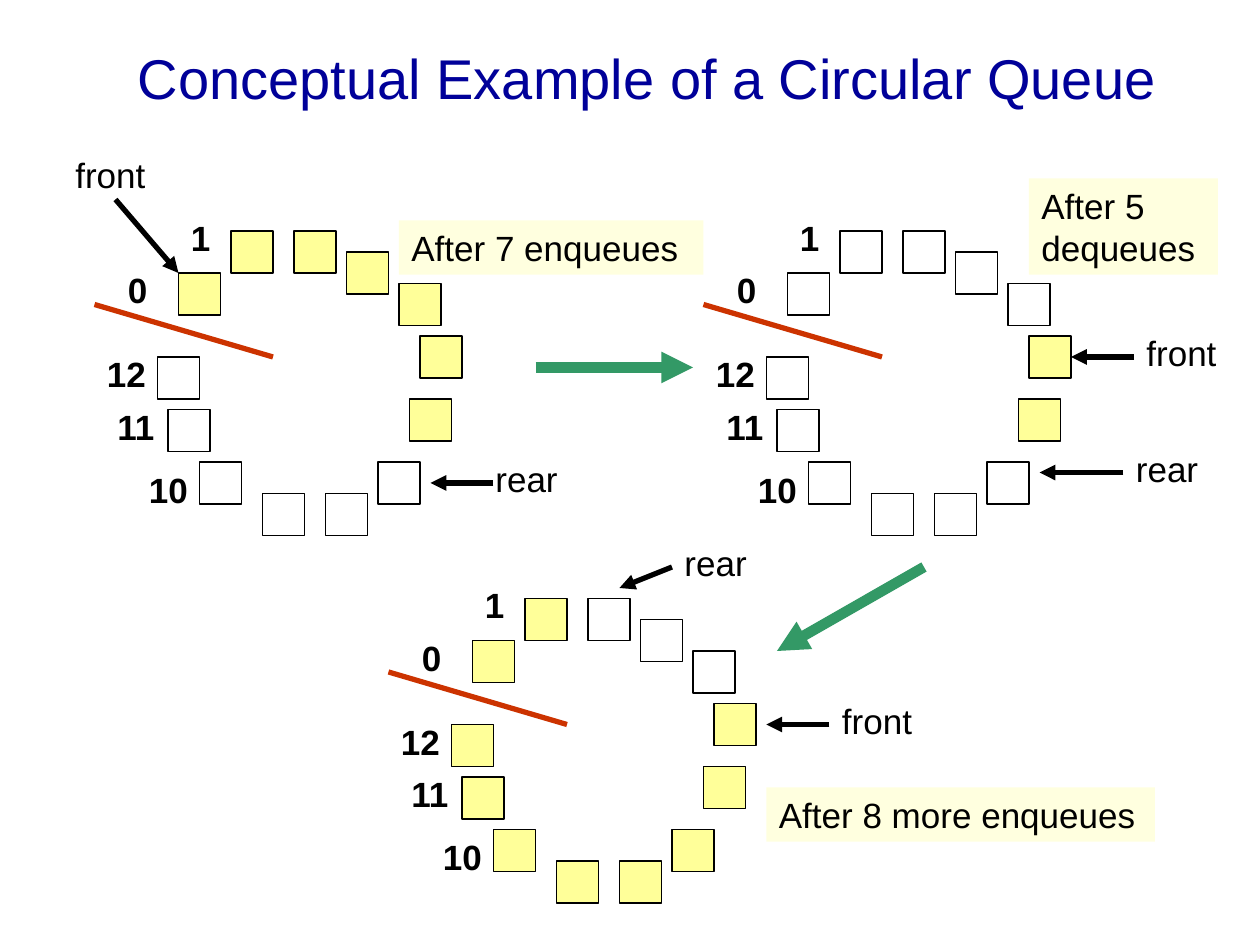
"""Build a slide showing a circular queue in three states."""
from lxml import etree
from pptx import Presentation
from pptx.dml.color import RGBColor
from pptx.enum.shapes import MSO_CONNECTOR, MSO_SHAPE
from pptx.enum.text import MSO_ANCHOR, MSO_AUTO_SIZE, PP_ALIGN
from pptx.oxml.ns import qn
from pptx.util import Pt

RECTANGLE = MSO_SHAPE.RECTANGLE
STRAIGHT = MSO_CONNECTOR.STRAIGHT
TOP, MIDDLE = MSO_ANCHOR.TOP, MSO_ANCHOR.MIDDLE
LEFT, CENTER = PP_ALIGN.LEFT, PP_ALIGN.CENTER
GROW, FIXED = MSO_AUTO_SIZE.SHAPE_TO_FIT_TEXT, MSO_AUTO_SIZE.NONE
RIGHT_SIDE = 3

BLACK = RGBColor(0x00, 0x00, 0x00)
NAVY = RGBColor(0x00, 0x00, 0x99)
YELLOW = RGBColor(0xFF, 0xFF, 0x99)
CREAM = RGBColor(0xFF, 0xFF, 0xDF)
RED = RGBColor(0xCC, 0x33, 0x00)
GREEN = RGBColor(0x33, 0x99, 0x66)

FONT = "Arial"
CELL = 24
LINE_HEIGHT = 31

TITLE = "Conceptual Example of a Circular Queue"
CELL_OFFSETS = [
    (48, 36), (78, 12), (114, 12), (144, 24), (174, 42), (186, 72), (180, 108),
    (162, 144), (132, 162), (96, 162), (60, 144), (42, 114), (36, 84),
]
INDEX_LABELS = [
    ("1", 48, 0, 30), ("0", 12, 30, 30), ("12", 0, 78, 42),
    ("11", 6, 108, 54), ("10", 24, 144, 54),
]
DIVIDER = ((0, 54), (102, 84))
QUEUES = [
    {"origin": (54, 120), "front": 0, "count": 7},
    {"origin": (402, 120), "front": 5, "count": 2},
    {"origin": (222, 330), "front": 5, "count": 10},
]
CAPTIONS = [
    ("After 7 enqueues", 228, 126, 174, LINE_HEIGHT),
    ("After 5 dequeues", 588, 102, 108, 55),
    ("After 8 more enqueues", 438, 450, 222, LINE_HEIGHT),
]
POINTER_LABELS = [
    ("front", 36, 84, 114), ("rear", 276, 258, 114),
    ("front", 648, 186, 60), ("rear", 642, 252, 54),
    ("front", 474, 396, 60), ("rear", 384, 306, 54),
]
POINTERS = [
    ((66, 114), (102, 156)), ((282, 276), (246, 276)),
    ((642, 270), (594, 270)), ((474, 414), (438, 414)),
    ((384, 324), (354, 336)),
]
FRONT_AFTER_DEQUEUES = ((648, 204), (612, 204))
STEPS = [((306, 210), (396, 210)), ((528, 324), (444, 372))]


def write(shape, text, size=20, color=BLACK, bold=False, align=LEFT,
          anchor=TOP, fit=GROW):
    frame = shape.text_frame
    frame.word_wrap = True
    frame.auto_size = fit
    frame.vertical_anchor = anchor
    paragraph = frame.paragraphs[0]
    paragraph.alignment = align
    run = paragraph.add_run()
    run.text = text
    run.font.name = FONT
    run.font.size = Pt(size)
    run.font.bold = bold
    run.font.color.rgb = color


def add_label(slide, text, x, y, width, height=LINE_HEIGHT, **style):
    label = slide.shapes.add_textbox(Pt(x), Pt(y), Pt(width), Pt(height))
    write(label, text, **style)


def add_rectangle(slide, x, y, width, height, fill=None):
    rectangle = slide.shapes.add_shape(RECTANGLE, Pt(x), Pt(y), Pt(width), Pt(height))
    rectangle.shadow.inherit = False
    if fill is None:
        rectangle.fill.background()
    else:
        rectangle.fill.solid()
        rectangle.fill.fore_color.rgb = fill
    return rectangle


def add_line(slide, start, end, color=BLACK, width=3, arrow=True):
    line = slide.shapes.add_connector(STRAIGHT, *map(Pt, start + end))
    line.line.color.rgb = color
    line.line.width = Pt(width)
    if arrow:
        etree.SubElement(line.line._get_or_add_ln(), qn("a:tailEnd"), type="triangle")
    etree.SubElement(line._element.spPr, qn("a:effectLst"))
    return line


def add_queue(slide, origin, front, count):
    left, top = origin
    cells = []
    for index, (dx, dy) in enumerate(CELL_OFFSETS):
        occupied = (index - front) % len(CELL_OFFSETS) < count
        cell = add_rectangle(slide, left + dx, top + dy, CELL, CELL,
                             YELLOW if occupied else None)
        cell.line.color.rgb = BLACK
        cell.line.width = Pt(0.75)
        cells.append(cell)
    for text, dx, dy, width in INDEX_LABELS:
        add_label(slide, text, left + dx, top + dy, width, bold=True)
    start, end = [(left + dx, top + dy) for dx, dy in DIVIDER]
    add_line(slide, start, end, RED, arrow=False)
    return cells


def main():
    deck = Presentation()
    deck.slide_width, deck.slide_height = Pt(720), Pt(540)
    slide = deck.slides.add_slide(deck.slide_layouts[6])

    add_label(slide, TITLE, 43, 11, 654, 66, size=32, color=NAVY,
              align=CENTER, anchor=MIDDLE, fit=FIXED)
    rings = [add_queue(slide, **queue) for queue in QUEUES]
    for text, *box in CAPTIONS:
        caption = add_rectangle(slide, *box, fill=CREAM)
        caption.line.fill.background()
        write(caption, text)
    for label in POINTER_LABELS:
        add_label(slide, *label)
    for start, end in POINTERS:
        add_line(slide, start, end)
    front_pointer = add_line(slide, *FRONT_AFTER_DEQUEUES)
    front_pointer.end_connect(rings[1][QUEUES[1]["front"]], RIGHT_SIDE)
    for start, end in STEPS:
        add_line(slide, start, end, GREEN, 6)

    deck.save("out.pptx")


if __name__ == "__main__":
    main()
